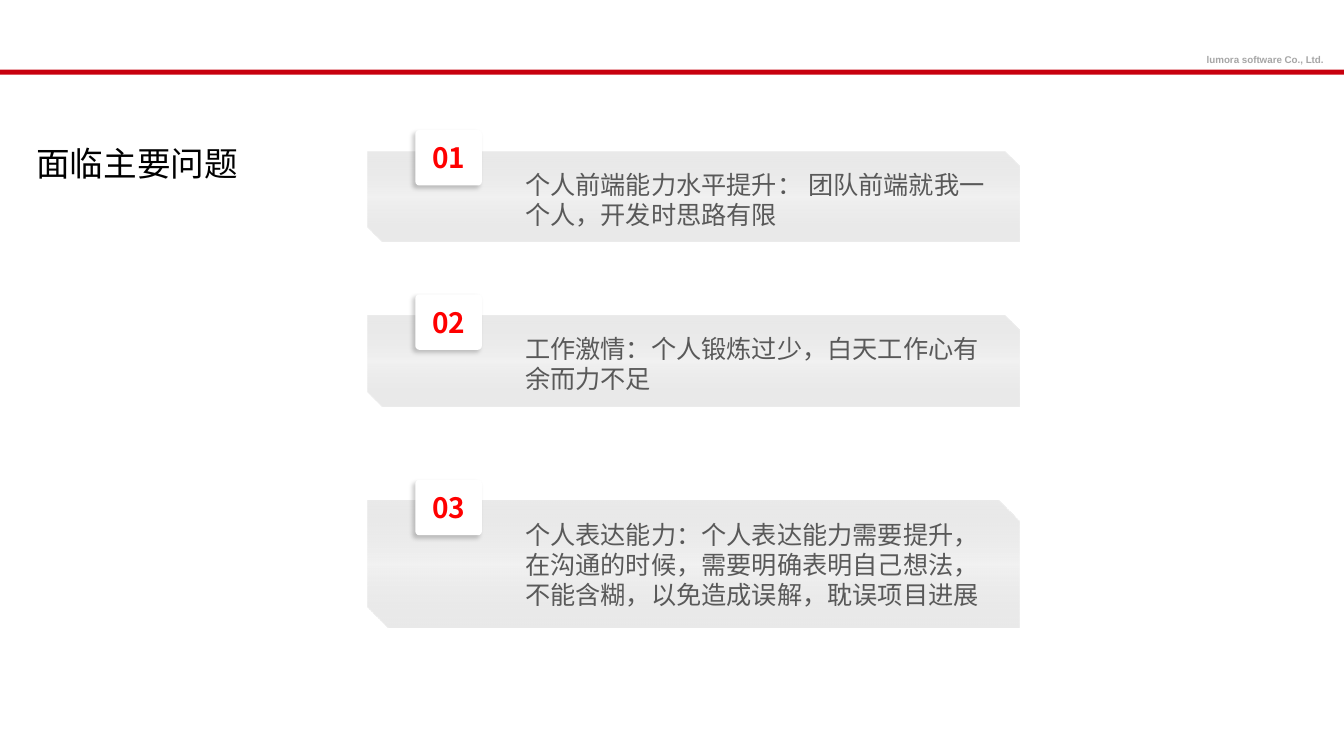
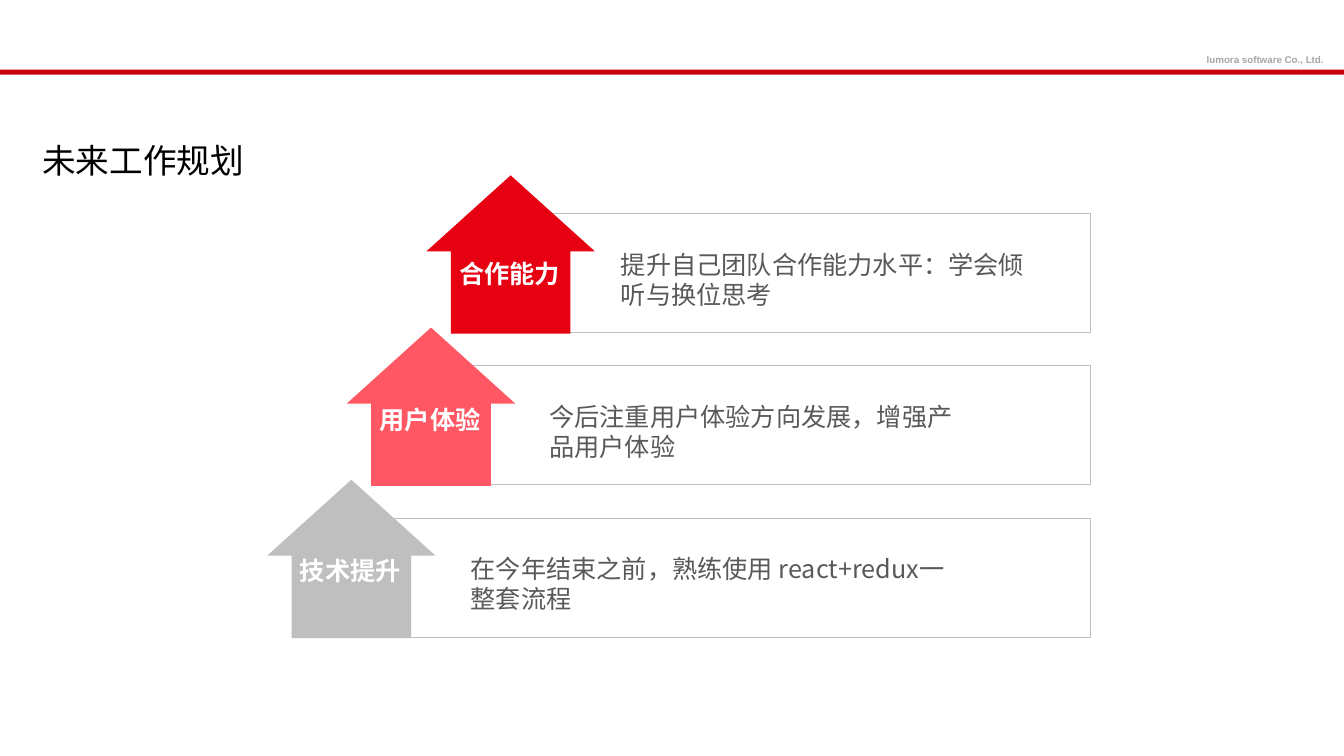
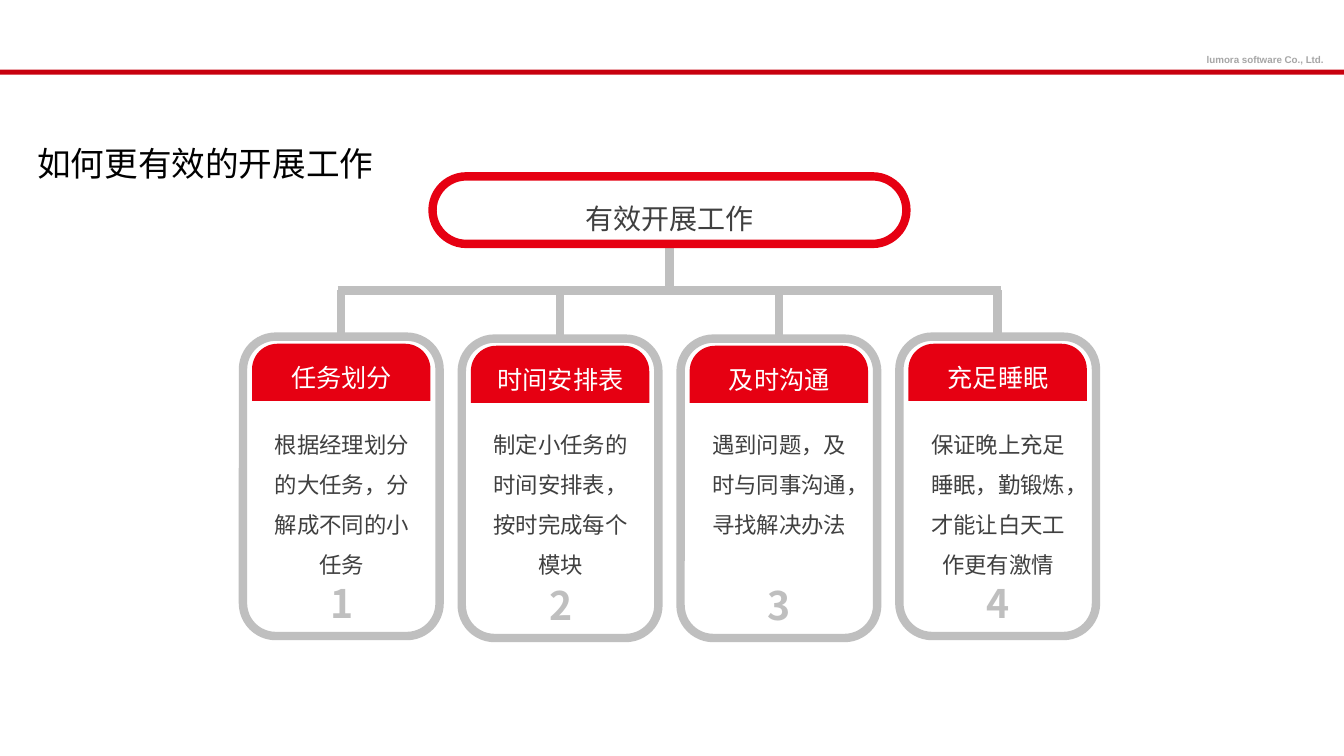
from lxml import etree
from pptx import Presentation
from pptx.dml.color import RGBColor
from pptx.enum.shapes import MSO_CONNECTOR as CONN, MSO_SHAPE as SHAPE
from pptx.enum.text import MSO_ANCHOR as ANCHOR, MSO_AUTO_SIZE as AUTO, PP_ALIGN as ALIGN
from pptx.oxml import parse_xml
from pptx.oxml.ns import nsdecls, qn
from pptx.util import Inches, Pt

# Shared style
SLIDE_W, SLIDE_H = 13.33, 7.5
CJK, LATIN = "Noto Sans CJK SC", "Arial"
WHITE = RGBColor(0xFF, 0xFF, 0xFF)
BLACK = RGBColor(0x00, 0x00, 0x00)
BAND_RED = RGBColor(0xC8, 0x00, 0x0E)
RED = RGBColor(0xE6, 0x00, 0x12)
PINK = RGBColor(0xFF, 0x57, 0x63)
NUMBER_RED = RGBColor(0xFF, 0x00, 0x00)
GREY = RGBColor(0xBF, 0xBF, 0xBF)
FOOTER_GREY = RGBColor(0xA6, 0xA6, 0xA6)
BODY_GREY = RGBColor(0x59, 0x59, 0x59)
DARK_GREY = RGBColor(0x40, 0x40, 0x40)

SOFT_GRADIENT = f"""<a:gradFill {nsdecls('a')} rotWithShape="1"><a:gsLst>
<a:gs pos="0"><a:srgbClr val="D9D9D9"><a:alpha val="55000"/></a:srgbClr></a:gs>
<a:gs pos="50000"><a:srgbClr val="F2F2F2"/></a:gs>
<a:gs pos="100000"><a:srgbClr val="D9D9D9"><a:alpha val="55000"/></a:srgbClr></a:gs>
</a:gsLst><a:lin ang="5400000" scaled="0"/></a:gradFill>"""
TILE_SHADOW = f"""<a:effectLst {nsdecls('a')}>
<a:outerShdw blurRad="38100" dist="38100" dir="8100000" algn="tr" rotWithShape="0">
<a:srgbClr val="000000"><a:alpha val="20000"/></a:srgbClr></a:outerShdw></a:effectLst>"""


def box(x, y, w, h):
    return Inches(x), Inches(y), Inches(w), Inches(h)


def write(sp, text, size, color, bold=False, align=ALIGN.LEFT, anchor=ANCHOR.TOP,
          spacing=None, font=CJK, wrap=True):
    tf = sp.text_frame
    tf.word_wrap = wrap
    tf.auto_size = AUTO.NONE
    tf.vertical_anchor = anchor
    p = tf.paragraphs[0]
    p.alignment = align
    if spacing:
        p.line_spacing = spacing
    r = p.add_run()
    r.text = text
    r.font.size, r.font.bold = Pt(size), bold
    r.font.color.rgb = color
    r.font.name = font
    etree.SubElement(r.font._element, qn("a:ea")).set("typeface", font)


def add_text(slide, at, text, size, color, **style):
    write(slide.shapes.add_textbox(*box(*at)), text, size, color, **style)


def add_shape(slide, kind, at, fill=None, line=None, width=0.75, adj=()):
    sp = slide.shapes.add_shape(kind, *box(*at))
    sp.shadow.inherit = False
    if fill is None:
        sp.fill.background()
    else:
        sp.fill.solid()
        sp.fill.fore_color.rgb = fill
    if line is None:
        sp.line.fill.background()
    else:
        sp.line.color.rgb = line
        sp.line.width = Pt(width)
    for i, value in enumerate(adj):
        sp.adjustments[i] = value
    return sp


def add_line(slide, x1, y1, x2, y2):
    line = slide.shapes.add_connector(CONN.STRAIGHT, *box(x1, y1, x2, y2))
    line.line.color.rgb = GREY
    line.line.width = Pt(6)
    etree.SubElement(line._element.spPr, qn("a:effectLst"))
    return line


def add_slide(prs, title, x, y, w):
    """Title-only slide with the red band and the company line."""
    slide = prs.slides.add_slide(prs.slide_layouts[5])
    add_shape(slide, SHAPE.RECTANGLE, (0, 0.69, SLIDE_W, 0.05), BAND_RED)
    add_text(slide, (11.87, 0.48, 1.46, 0.22), "lumora software Co., Ltd.", 7,
             FOOTER_GREY, bold=True, font=LATIN)
    sp = slide.shapes.title
    sp.left, sp.top, sp.width, sp.height = box(x, y, w, 0.81)
    write(sp, title, 24, BLACK, wrap=False)
    return slide


# Slide 1: numbered problems
def add_problem(slide, number, y, h, text):
    panel = add_shape(slide, SHAPE.SNIP_2_DIAG_RECTANGLE, (3.65, y, 6.46, h))
    sp_pr = panel._element.spPr
    sp_pr.replace(sp_pr.find(qn("a:noFill")), parse_xml(SOFT_GRADIENT))
    add_text(slide, (5.11, y + 0.13, 4.8, 0.64), text, 18, BODY_GREY)
    tile = add_shape(slide, SHAPE.ROUNDED_RECTANGLE, (4.12, y - 0.21, 0.66, 0.55),
                     WHITE, adj=[0.07])
    sp_pr = tile._element.spPr
    sp_pr.replace(sp_pr.find(qn("a:effectLst")), parse_xml(TILE_SHADOW))
    write(tile, f"{number:02d}", 20, NUMBER_RED, bold=True, align=ALIGN.CENTER,
          anchor=ANCHOR.MIDDLE)


def problems_slide(prs):
    slide = add_slide(prs, "面临主要问题", 0.26, 1.37, 2.22)
    problems = [
        (1.5, 0.9, "个人前端能力水平提升： 团队前端就我一个人，开发时思路有限"),
        (3.13, 0.9, "工作激情：个人锻炼过少，白天工作心有余而力不足"),
        (4.97, 1.26, "个人表达能力：个人表达能力需要提升，在沟通的时候，需要明确表明自己想法，"
                     "不能含糊，以免造成误解，耽误项目进展"),
    ]
    for number, (y, h, text) in enumerate(problems, 1):
        add_problem(slide, number, y, h, text)


# Slide 2: staircase of arrows
def add_step(slide, row, color, label, label_y, text, text_x, text_w):
    shift, y = 0.79 * row, 1.74 + 1.51 * row
    left, right = 5.11 - shift, 10.82
    add_shape(slide, SHAPE.RECTANGLE, (left, y + 0.38, right - left, 1.18), line=GREY)
    add_shape(slide, SHAPE.UP_ARROW, (4.23 - shift, y, 1.67, 1.57), color,
              adj=[0.71, 0.48])
    add_text(slide, (text_x, y + 0.68, text_w, 0.71), text, 18, BODY_GREY)
    add_text(slide, (4.45 - shift, label_y, 1.21, 0.4), label, 18, WHITE, bold=True,
             align=ALIGN.CENTER, wrap=False)


def plan_slide(prs):
    slide = add_slide(prs, "未来工作规划", 0.32, 1.34, 2.22)
    steps = [
        (RED, "合作能力", 2.51, "提升自己团队合作能力水平：学会倾听与换位思考", 6.06, 4.3),
        (PINK, "用户体验", 3.96, "今后注重用户体验方向发展，增强产品用户体验", 5.35, 4.3),
        (GREY, "技术提升", 5.46, "在今年结束之前，熟练使用 react+redux一整套流程", 4.57, 4.94),
    ]
    for row, step in enumerate(steps):
        add_step(slide, row, *step)


# Slide 3: tree of four cards
def add_card(slide, number, x, y, heading, text, bar_y):
    card = add_shape(slide, SHAPE.ROUNDED_RECTANGLE, (x, y, 1.95, 2.97), WHITE, GREY, 6)
    add_shape(slide, SHAPE.ROUNDED_RECTANGLE, (x + 0.09, y + 0.07, 1.77, 1.01), RED,
              adj=[0.25])
    add_shape(slide, SHAPE.RECTANGLE, (x + 0.08, y + 0.64, 1.79, 2.09), WHITE)
    text_x, text_w = x + 0.16, 1.64
    add_text(slide, (text_x, 4.09, text_w, 1.72), text, 16, DARK_GREY,
             align=ALIGN.CENTER, spacing=1.5)
    add_text(slide, (text_x, y + 0.21, text_w, 0.4), heading, 18, WHITE,
             align=ALIGN.CENTER)
    add_text(slide, (text_x, y + 2.36, text_w, 0.57), str(number), 28, GREY, bold=True,
             align=ALIGN.CENTER)
    middle = x + 1.95 / 2
    add_line(slide, middle, bar_y, middle, y).end_connect(card, 0)


def work_slide(prs):
    slide = add_slide(prs, "如何更有效的开展工作", 0.27, 1.37, 3.57)
    bar_y = 2.88
    add_line(slide, 3.35, bar_y, 9.93, bar_y)
    stem = add_line(slide, 6.64, 2.42, 6.64, bar_y)
    root = add_shape(slide, SHAPE.ROUNDED_RECTANGLE, (4.29, 1.75, 4.7, 0.67), WHITE, RED,
                     6, adj=[0.5])
    write(root, "有效开展工作", 20, DARK_GREY, align=ALIGN.CENTER, anchor=ANCHOR.MIDDLE,
          spacing=1.5)
    stem.begin_connect(root, 2)
    cards = [
        (3.34, "任务划分", "根据经理划分的大任务，分解成不同的小任务"),
        (3.36, "时间安排表", "制定小任务的时间安排表，按时完成每个模块"),
        (3.36, "及时沟通", "遇到问题，及时与同事沟通，寻找解决办法"),
        (3.34, "充足睡眠", "保证晚上充足睡眠，勤锻炼，才能让白天工作更有激情"),
    ]
    for i, (y, heading, text) in enumerate(cards):
        add_card(slide, i + 1, 2.41 + 2.17 * i, y, heading, text, bar_y)


def main():
    prs = Presentation()
    prs.slide_width, prs.slide_height = Inches(SLIDE_W), Inches(SLIDE_H)
    problems_slide(prs)
    plan_slide(prs)
    work_slide(prs)
    prs.save("out.pptx")


if __name__ == "__main__":
    main()
